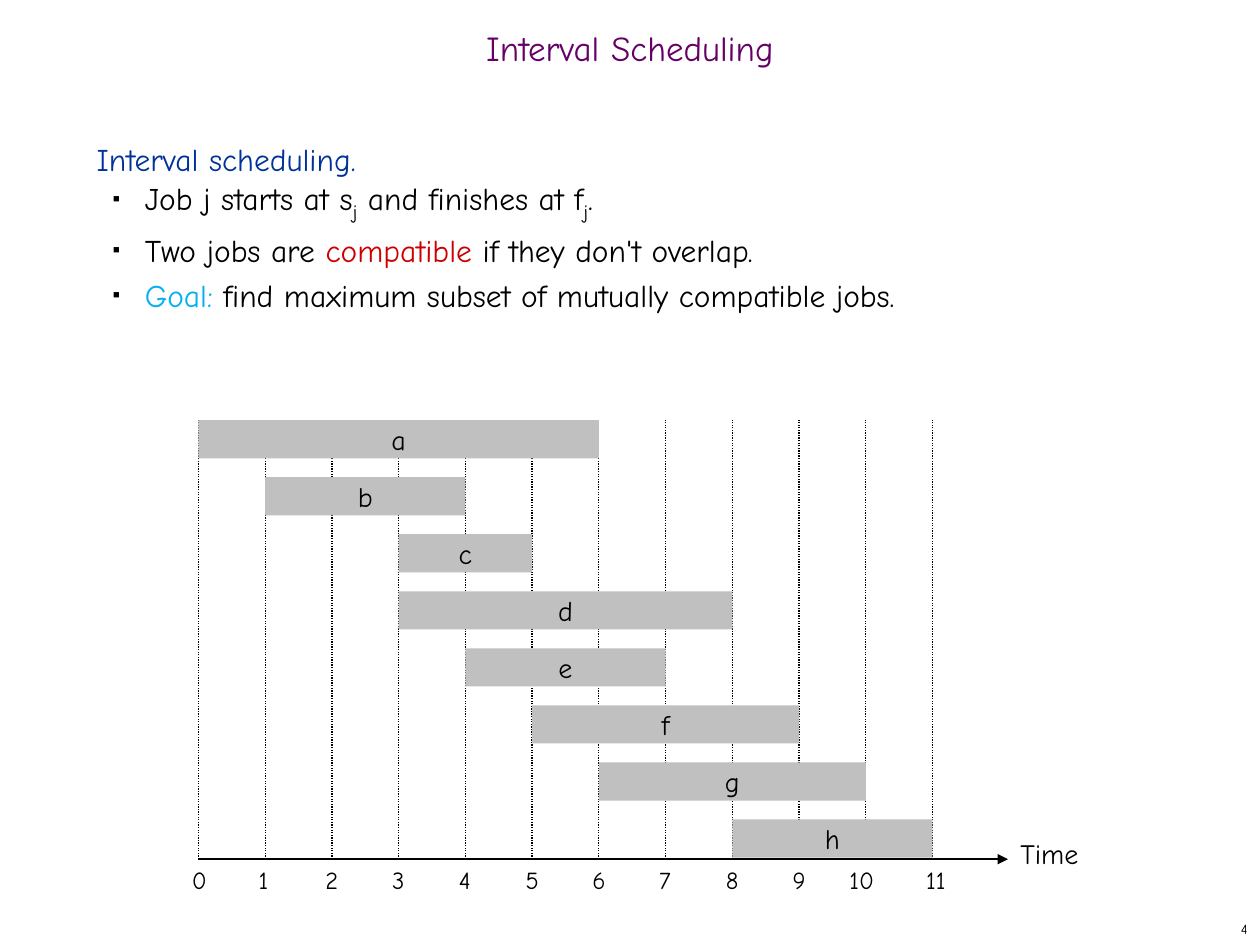
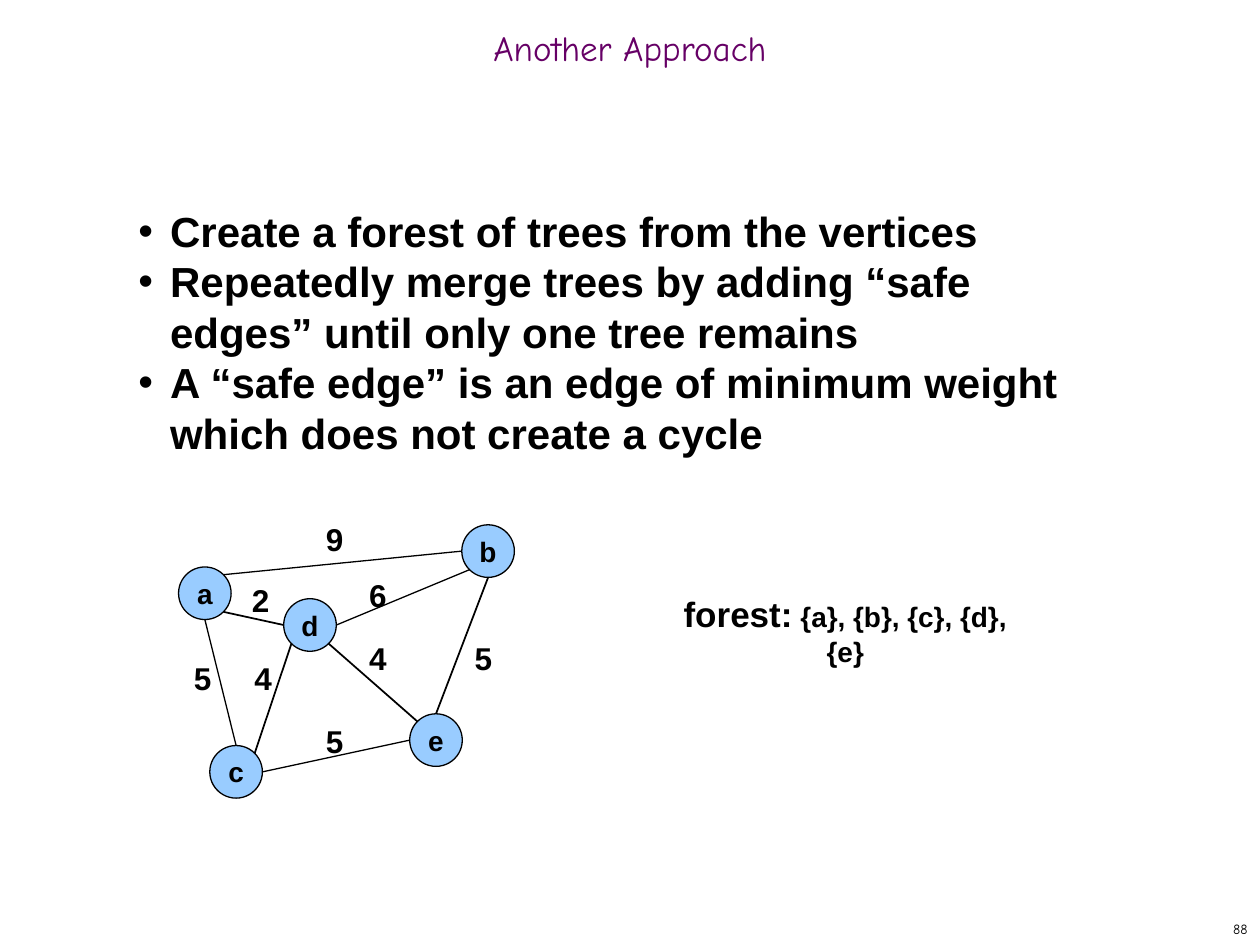
from collections import namedtuple
from math import cos, radians, sin

from lxml import etree
from pptx import Presentation
from pptx import util as u
from pptx.dml.color import RGBColor
from pptx.enum import dml, shapes, text
from pptx.oxml.ns import qn

Style = namedtuple("Style", "font size color bold", defaults=[False])
Bullet = namedtuple("Bullet", "character percent margin hanging")


class Theme:
    black = "000000"
    red = "CC0000"
    cyan = "00B0F0"
    bar = "C0C0C0"
    node = "99CCFF"
    title = Style("Comic Neue", 20, "660066")
    number = Style("Comic Neue", 8, black)
    heading = Style("Comic Neue", 18, "003399")
    body = Style("Comic Neue", 18, black)
    axis = Style("Comic Neue", 16, black)
    tick = Style("Comic Neue", 14, black)
    statement = Style("Arial", 24, black, True)
    forest = Style("Arial", 20, black, True)
    weight = Style("Arial", 18, black, True)
    vertex = Style("Arial", 16, black, True)
    square = Bullet("■", 35, 0.97, 0.64)
    dot = Bullet("•", 100, 0.64, 0.64)
    thin, medium, thick = 0.75, 1, 1.25


def add_text(slide, box, lines, align="LEFT", anchor="TOP", wrap=True,
             bullet=None, spacing=None, preset=None, fill=None):
    """Add a text box, or a preset shape with text.

    Each line is (style, run, ...); a run is a string or (string, changes).
    Lines in the body or statement style take the bullet.
    """
    place = [u.Cm(length) for length in box]
    if preset is None:
        shape = slide.shapes.add_textbox(*place)
    else:
        shape = slide.shapes.add_shape(preset, *place)
        shape.shadow.inherit = False
        shape.fill.solid()
        shape.fill.fore_color.rgb = RGBColor.from_string(fill)
        shape.line.fill.background()
    frame = shape.text_frame
    frame.word_wrap = wrap
    frame.vertical_anchor = text.MSO_ANCHOR[anchor]
    for index, (style, *runs) in enumerate(lines):
        paragraph = frame.add_paragraph() if index else frame.paragraphs[0]
        paragraph.alignment = text.PP_ALIGN[align]
        if spacing:
            paragraph.line_spacing = spacing
        if bullet and style in (Theme.body, Theme.statement):
            properties = paragraph._p.get_or_add_pPr()
            properties.set("marL", str(u.Cm(bullet.margin)))
            properties.set("indent", str(-u.Cm(bullet.hanging)))
            color = etree.SubElement(properties, qn("a:buClr"))
            etree.SubElement(color, qn("a:srgbClr"), val=Theme.black)
            etree.SubElement(properties, qn("a:buSzPct"), val=str(bullet.percent * 1000))
            etree.SubElement(properties, qn("a:buFont"), typeface="Arial")
            etree.SubElement(properties, qn("a:buChar"), char=bullet.character)
        paragraph.font.name = style.font
        paragraph.font.size = u.Pt(style.size)
        paragraph.font.bold = style.bold
        paragraph.font.color.rgb = RGBColor.from_string(style.color)
        for item in runs:
            words, changes = (item, {}) if isinstance(item, str) else item
            run = paragraph.add_run()
            run.text = words
            if "color" in changes:
                run.font.color.rgb = RGBColor.from_string(changes["color"])
            if "size" in changes:
                run.font.size = u.Pt(changes["size"])
            if "baseline" in changes:
                run.font._element.set("baseline", str(changes["baseline"] * 1000))
    return shape


def add_line(slide, start, end, width):
    ends = [u.Cm(length) for length in (*start, *end)]
    line = slide.shapes.add_connector(shapes.MSO_CONNECTOR.STRAIGHT, *ends)
    line.line.color.rgb = RGBColor.from_string(Theme.black)
    line.line.width = u.Pt(width)
    etree.SubElement(line._element.spPr, qn("a:effectLst"))
    return line


presentation = Presentation()
presentation.slide_width = u.Cm(25.4)
presentation.slide_height = u.Cm(19.05)

# Title and slide number
slides = []
for title, number in [("Interval Scheduling", "4"), ("Another Approach", "88")]:
    slide = presentation.slides.add_slide(presentation.slide_layouts[6])
    add_text(slide, (20.12, 18.41, 5.28, 0.64), [(Theme.number, number)],
             align="RIGHT", anchor="MIDDLE")
    add_text(slide, (0, 0.43, 25.4, 1.27), [(Theme.title, title)],
             align="CENTER", anchor="MIDDLE", spacing=0.7)
    slides.append(slide)
scheduling, approach = slides

# Interval scheduling: definition
subscript = ("j", {"size": 20, "baseline": -25})
add_text(scheduling, (1.7, 2.54, 21.8, 15.04), [
    (Theme.heading, "Interval scheduling."),
    (Theme.body, "Job j starts at s", subscript, " and finishes at f", subscript, "."),
    (Theme.body, "Two jobs are ", ("compatible ", {"color": Theme.red}),
     "if they don't overlap."),
    (Theme.body, ("Goal:", {"color": Theme.cyan}),
     " find maximum subset of mutually compatible jobs."),
], bullet=Theme.square, spacing=u.Pt(26))

# Interval scheduling: time axis and grid
last_hour = 11
axis_left, axis_right, axis_y = 4, 18.8, 17.32
grid_top = 8.47
hour_width = (axis_right - axis_left) / last_hour

time_axis = add_line(scheduling, (axis_left, axis_y), (20.32, axis_y), Theme.thick)
etree.SubElement(time_axis.line._get_or_add_ln(), qn("a:tailEnd"), type="triangle")
add_text(scheduling, (20.32, 16.74, 2.1, 0.94), [(Theme.axis, "Time")])

for hour in range(last_hour + 1):
    x = axis_left + hour * hour_width
    grid_line = add_line(scheduling, (x, axis_y), (x, grid_top), Theme.thin)
    grid_line.line.dash_style = dml.MSO_LINE.ROUND_DOT
    label_shift = 0.58 if hour == 10 else 0.38
    add_text(scheduling, (x - label_shift, axis_y, 1.16, 0.84), [(Theme.tick, str(hour))])

# Interval scheduling: jobs with start and finish
jobs = [("a", 0, 6), ("b", 1, 4), ("c", 3, 5), ("d", 3, 8),
        ("e", 4, 7), ("f", 5, 9), ("g", 6, 10), ("h", 8, 11)]
job_height, job_pitch = 0.77, 1.15
for row, (job, start, finish) in enumerate(jobs):
    box = (axis_left + start * hour_width, grid_top + row * job_pitch,
           (finish - start) * hour_width, job_height)
    add_text(scheduling, box, [(Theme.axis, job)], align="CENTER", anchor="MIDDLE",
             wrap=False, preset=shapes.MSO_SHAPE.RECTANGLE, fill=Theme.bar)

# Another approach: graph vertices
diameter = 1.06
corners = {"a": (3.6, 11.43), "c": (4.23, 15.03), "e": (8.26, 14.39),
           "d": (5.72, 12.07), "b": (9.31, 10.58)}
vertices = {}
for name, corner in corners.items():
    vertex = add_text(approach, (*corner, diameter, diameter), [(Theme.vertex, name)],
                      align="CENTER", anchor="MIDDLE", wrap=False,
                      preset=shapes.MSO_SHAPE.OVAL, fill=Theme.node)
    vertex.line.color.rgb = RGBColor.from_string(Theme.black)
    vertex.line.width = u.Pt(Theme.thin)
    vertices[name] = vertex

# Edges: an oval has eight connection sites, counted from the top towards the left
edges = [
    ("a", 7, "b", 2, Theme.thin, "9", (6.32, 10.36)),
    ("d", 6, "b", 3, Theme.thin, "6", (7.19, 11.48)),
    ("a", 4, "c", 0, Theme.thin, "5", (3.66, 13.16)),
    ("a", 5, "d", 2, Theme.medium, "2", (4.83, 11.58)),
    ("c", 7, "d", 3, Theme.medium, "4", (4.88, 13.16)),
    ("d", 5, "e", 1, Theme.medium, "4", (7.19, 12.75)),
    ("b", 4, "e", 0, Theme.medium, "5", (9.32, 12.75)),
    ("e", 2, "c", 6, Theme.thin, "5", (6.32, 14.43)),
]
for tail, tail_site, head, head_site, width, weight, label_corner in edges:
    ends = []
    for name, site in [(tail, tail_site), (head, head_site)]:
        left, top = corners[name]
        angle = radians(45 * site)
        ends.append((left + diameter / 2 * (1 - sin(angle)),
                     top + diameter / 2 * (1 - cos(angle))))
    edge = add_line(approach, *ends, width)
    joints = edge._element.nvCxnSpPr.cNvCxnSpPr
    for tag, name, site in [("a:stCxn", tail, tail_site), ("a:endCxn", head, head_site)]:
        etree.SubElement(joints, qn(tag), id=str(vertices[name].shape_id), idx=str(site))
    add_text(approach, (*label_corner, 0.9, 1.02), [(Theme.weight, weight)])

# Another approach: statements and forest
add_text(approach, (2.54, 4.02, 20.32, 5.33), [
    (Theme.statement, "Create a forest of trees from the vertices"),
    (Theme.statement,
     "Repeatedly merge trees by adding “safe edges” until only one tree remains"),
    (Theme.statement,
     "A “safe edge” is an edge of minimum weight which does not create a cycle"),
], bullet=Theme.dot)
add_text(approach, (13.08, 12.14, 7.92, 1.12),
         [(Theme.forest, "forest:", (" {a}, {b}, {c}, {d}, {e}", {"size": 16}))],
         align="CENTER", anchor="MIDDLE", wrap=False)

presentation.save("out.pptx")
